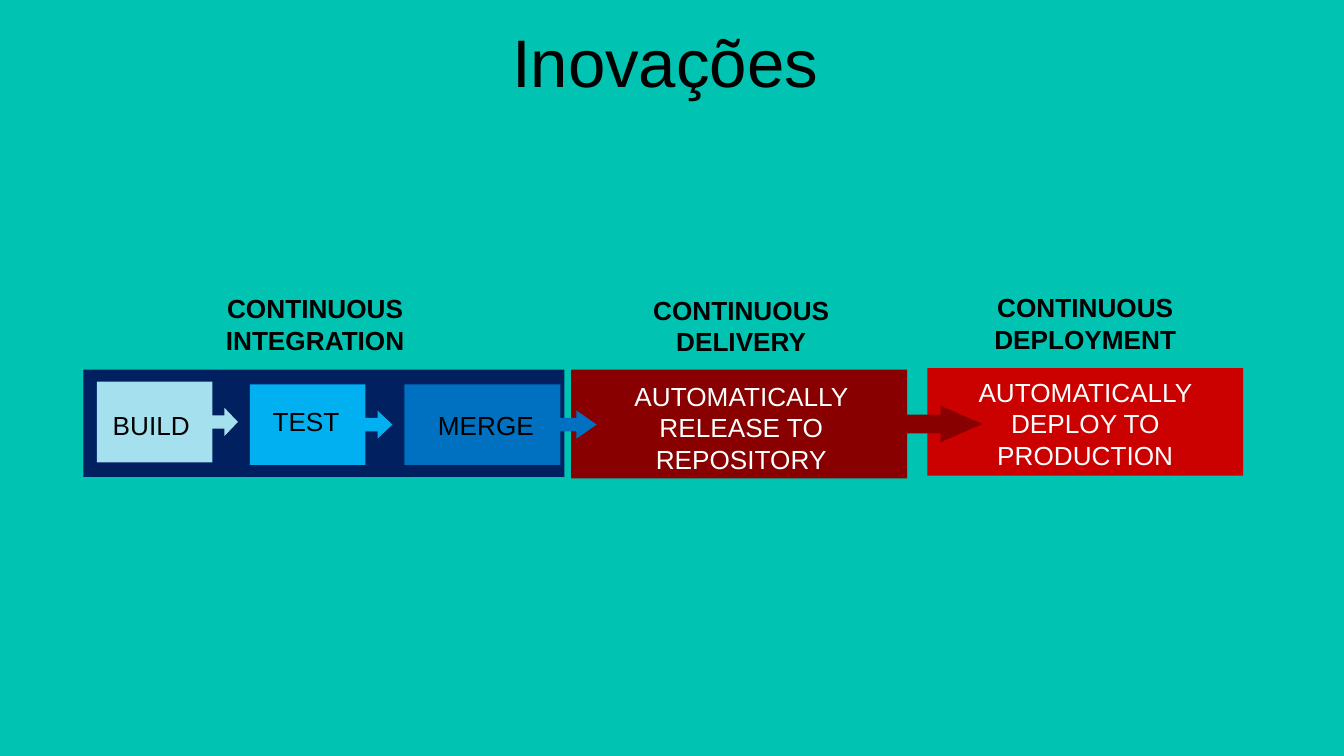
from pptx import Presentation
from pptx.dml.color import RGBColor
from pptx.enum.shapes import MSO_SHAPE
from pptx.enum.text import MSO_ANCHOR, PP_ALIGN
from pptx.util import Inches, Pt

TEAL = RGBColor(0x00, 0xC3, 0xB1)
NAVY = RGBColor(0x00, 0x20, 0x60)
PALE_BLUE = RGBColor(0xA4, 0xE0, 0xED)
SKY_BLUE = RGBColor(0x00, 0xB0, 0xF0)
BLUE = RGBColor(0x00, 0x70, 0xC0)
DARK_RED = RGBColor(0x88, 0x00, 0x00)
RED = RGBColor(0xCB, 0x01, 0x00)
BLACK = RGBColor(0x00, 0x00, 0x00)
WHITE = RGBColor(0xFF, 0xFF, 0xFF)

LABEL_WIDTH = 1.95


def format_text(frame, text, size, color, bold=False, align=PP_ALIGN.LEFT):
    """Write one paragraph with the given look."""
    frame.word_wrap = True
    frame.vertical_anchor = MSO_ANCHOR.TOP
    paragraph = frame.paragraphs[0]
    paragraph.alignment = align
    run = paragraph.add_run()
    run.text = text
    run.font.color.rgb = color
    for attribute, value in {"name": "Arial", "size": Pt(size), "bold": bold}.items():
        setattr(run.font, attribute, value)


def add_label(slide, text, left, top, width, height, color=BLACK, **look):
    label = slide.shapes.add_textbox(*map(Inches, (left, top, width, height)))
    format_text(label.text_frame, text, 14, color, **look)


def paint(shape, color):
    shape.shadow.inherit = False
    shape.fill.solid()
    shape.fill.fore_color.rgb = color
    shape.line.fill.background()


def add_box(slide, left, top, width, height, color):
    box = slide.shapes.add_shape(
        MSO_SHAPE.RECTANGLE, *map(Inches, (left, top, width, height)))
    paint(box, color)


def add_arrow_box(slide, left, top, body, neck, tip, height, shaft, head, color):
    """Box whose right side runs out into an arrow; body, neck and tip are
    distances from the left edge, shaft and head are half heights."""
    middle = height / 2
    upper = [(body, 0), (body, middle - shaft), (neck, middle - shaft),
             (neck, middle - head)]
    lower = [(x, height - y) for x, y in reversed(upper)]
    outline = [*upper, (tip, middle), *lower, (0, height)]
    builder = slide.shapes.build_freeform(Inches(left), Inches(top))
    builder.add_line_segments(
        [(Inches(left + x), Inches(top + y)) for x, y in outline], close=True)
    paint(builder.convert_to_shape(), color)


def add_heading(slide, text, left, top):
    """Bold name above a phase."""
    add_label(slide, text, left, top, LABEL_WIDTH, 0.57,
              bold=True, align=PP_ALIGN.CENTER)


def add_action(slide, text, left, top):
    """What happens, written inside a phase."""
    add_label(slide, text, left, top, LABEL_WIDTH, 0.81, WHITE,
              align=PP_ALIGN.CENTER)


def add_title(slide, left, top, width, height):
    title = slide.shapes.title
    place = {"left": left, "top": top, "width": width, "height": height}
    for attribute, value in place.items():
        setattr(title, attribute, Inches(value))
    format_text(title.text_frame, "Inovações", 36, BLACK)


def add_deployment(slide, left, top, width, height):
    add_box(slide, left, top, width, height, RED)
    add_heading(slide, "CONTINUOUS DEPLOYMENT", left + 0.2, top - 0.62)
    add_action(slide, "AUTOMATICALLY DEPLOY TO PRODUCTION", left + 0.2, top + 0.01)


def add_delivery(slide, left, top, width, height):
    add_arrow_box(slide, left, top, width, width + 0.25, width + 0.56,
                  height, 0.07, 0.135, DARK_RED)
    add_heading(slide, "CONTINUOUS DELIVERY", left + 0.29, top - 0.61)
    add_action(slide, "AUTOMATICALLY RELEASE TO REPOSITORY", left + 0.29, top + 0.03)


def add_integration(slide, left, top, width, height):
    add_box(slide, left, top, width, height, NAVY)
    add_heading(slide, "CONTINUOUS INTEGRATION", left + 0.75, top - 0.62)
    # Steps: name, x, y, body, neck, tip, colour, label x, label y, label width
    steps = [
        ("BUILD", 0.10, 0.09, 0.86, 0.95, 1.05, PALE_BLUE, 0.12, 0.25, 0.84),
        ("TEST", 1.24, 0.11, 0.86, 0.95, 1.06, SKY_BLUE, 1.31, 0.22, 0.84),
        ("MERGE", 2.39, 0.11, 1.16, 1.28, 1.43, BLUE, 2.54, 0.25, 0.95),
    ]
    for name, x, y, body, neck, tip, color, label_x, label_y, label_width in steps:
        add_arrow_box(slide, left + x, top + y, body, neck, tip,
                      0.6, 0.05, 0.105, color)
        add_label(slide, name, left + label_x, top + label_y, label_width, 0.34)


def main():
    presentation = Presentation()
    # Widescreen, 16:9
    presentation.slide_width = Inches(10)
    presentation.slide_height = Inches(10 * 9 / 16)
    slide = presentation.slides.add_slide(presentation.slide_layouts[5])
    slide.background.fill.solid()
    slide.background.fill.fore_color.rgb = TEAL

    add_title(slide, 3.71, 0.1, 2.59, 0.71)
    # Right to left, so that each arrow lies over the next phase
    add_deployment(slide, 6.9, 2.74, 2.35, 0.8)
    add_delivery(slide, 4.25, 2.75, 2.5, 0.81)
    add_integration(slide, 0.62, 2.75, 3.58, 0.8)
    presentation.save("out.pptx")


if __name__ == "__main__":
    main()
